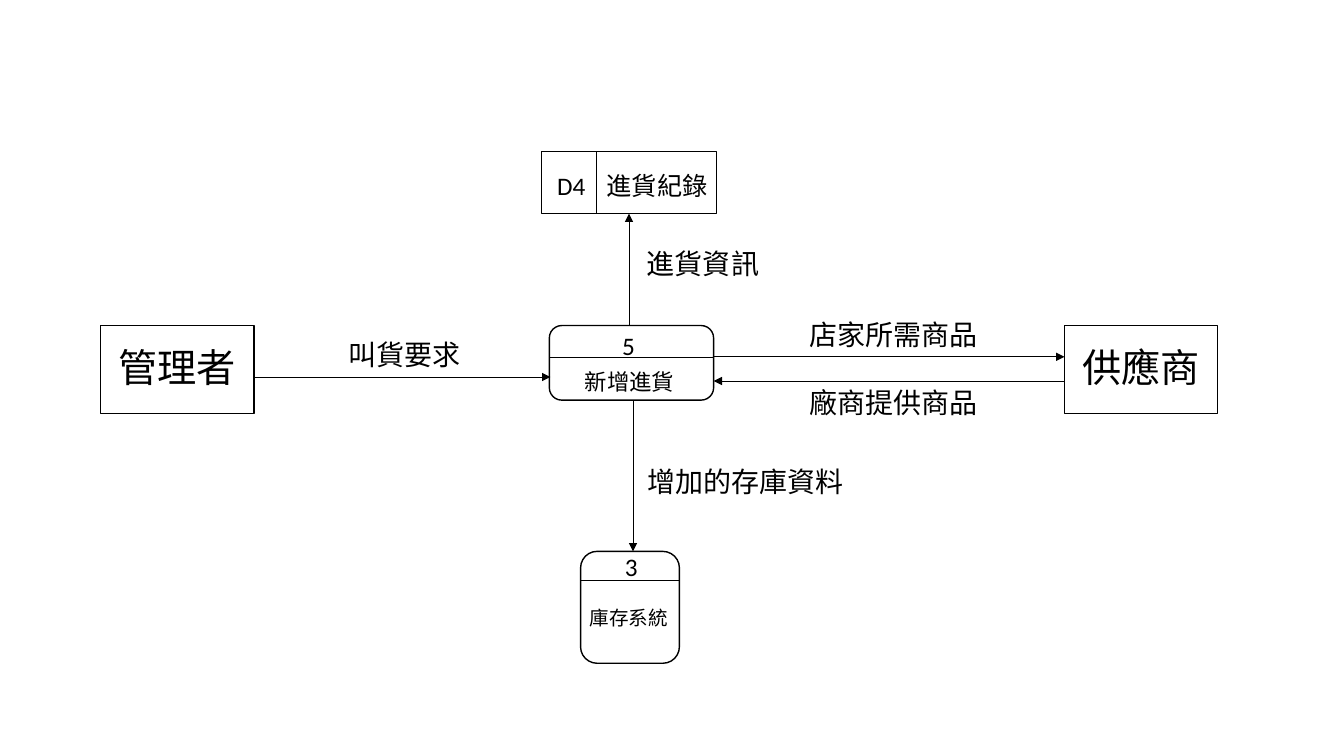
from lxml.etree import SubElement
from pptx import Presentation
from pptx.dml.color import RGBColor
from pptx.enum.shapes import MSO_CONNECTOR, MSO_SHAPE
from pptx.enum.text import MSO_ANCHOR, PP_ALIGN
from pptx.oxml.ns import qn
from pptx.util import Inches, Pt

COLUMNS, ROWS = 133.33, 75
CELL = Inches(0.1)
INK = "000000"
FONT = "Calibri"


def grid(*cells):
    return [round(cell * CELL) for cell in cells]


def color(hex_value):
    return RGBColor.from_string(hex_value)


def apply(target, formats):
    for attribute, value in formats.items():
        setattr(target, attribute, value)


def write(frame, words, size, align, **paragraph_format):
    paragraph = frame.paragraphs[0]
    apply(paragraph, {"alignment": align, **paragraph_format})
    run = paragraph.add_run()
    run.text = words
    apply(run.font, {"size": Pt(size), "name": FONT})
    run.font.color.rgb = color(INK)


def outline(slide, preset, left, top, width, height):
    frame = slide.shapes.add_shape(preset, *grid(left, top, width, height))
    frame.shadow.inherit = False
    frame.fill.background()
    frame.line.color.rgb = color(INK)
    frame.line.width = Pt(1)
    return frame


def label(slide, words, left, top, width, height, size=20, align=PP_ALIGN.LEFT, wrap=True):
    box = slide.shapes.add_textbox(*grid(left, top, width, height))
    box.text_frame.word_wrap = wrap
    write(box.text_frame, words, size, align)


def rule(slide, x1, y1, x2, y2):
    stroke = slide.shapes.add_connector(MSO_CONNECTOR.STRAIGHT, *grid(x1, y1, x2, y2))
    stroke.line.color.rgb = color(INK)
    stroke.line.width = Pt(0.5)
    SubElement(stroke.element.spPr, qn("a:effectLst"))
    return stroke


def flow(slide, x1, y1, x2, y2):
    arrow = rule(slide, x1, y1, x2, y2)
    SubElement(arrow.line._get_or_add_ln(), qn("a:tailEnd"), type="triangle")
    return arrow


def entity(slide, words, left):
    box = outline(slide, MSO_SHAPE.RECTANGLE, left, 32.3, 15.2, 8.7)
    apply(box.text_frame, {"vertical_anchor": MSO_ANCHOR.MIDDLE, "word_wrap": True})
    write(box.text_frame, words, 28, PP_ALIGN.CENTER, line_spacing=0.9, space_before=Pt(10))


def process(slide, left, top, width, height, header):
    outline(slide, MSO_SHAPE.ROUNDED_RECTANGLE, left, top, width, height)
    rule(slide, left, top + header, left + width, top + header)


def data_store(slide, left, top, width, height, code_width):
    store = outline(slide, MSO_SHAPE.RECTANGLE, left, top, width, height)
    rule(slide, left + code_width, top + height, left + code_width, top)
    return store


def main():
    deck = Presentation()
    apply(deck, {"slide_width": round(COLUMNS * CELL), "slide_height": ROWS * CELL})
    slide = deck.slides.add_slide(deck.slide_layouts[6])
    center = PP_ALIGN.CENTER

    process(slide, 54.5, 32.3, 16.3, 7.4, header=3.2)
    label(slide, "5", 54.9, 32.3, 14.9, 7.1, 18, center)
    label(slide, "新增進貨", 54.3, 36, 16.3, 3.7, 16, center)

    entity(slide, "管理者", 10)
    entity(slide, "供應商", 105.6)

    flow(slide, 25.2, 37.4, 54.6, 37.4)
    flow(slide, 70.7, 35.4, 105.6, 35.4)
    flow(slide, 105.6, 37.8, 70.8, 37.8)
    flow(slide, 62.8, 39.7, 62.8, 54.7)
    record_flow = flow(slide, 62.4, 32.3, 62.4, 21.2)

    for words, left, top, align in (
        ("叫貨要求", 29, 33, center),
        ("店家所需商品", 79.3, 31, PP_ALIGN.LEFT),
        ("廠商提供商品", 79.3, 37.8, PP_ALIGN.LEFT),
        ("增加的存庫資料", 62.8, 45.6, center),
        ("進貨資訊", 58.6, 24, center),
    ):
        label(slide, words, left, top, 22.3, 4.4, align=align)

    process(slide, 57.6, 54.7, 9.8, 11.1, header=2.9)
    label(slide, "3", 61, 54.2, 8.9, 4, 18)
    label(slide, "庫存系統", 57.5, 59.6, 9.9, 3.4, 14, wrap=False)

    purchase_records = data_store(slide, 53.7, 15, 17.4, 6.2, code_width=5.5)
    record_flow.end_connect(purchase_records, 2)
    label(slide, "D4", 54.3, 16.4, 5.4, 4, 18)
    label(slide, "進貨紀錄", 59.2, 16.4, 12.8, 4, 18)

    deck.save("out.pptx")


if __name__ == "__main__":
    main()
